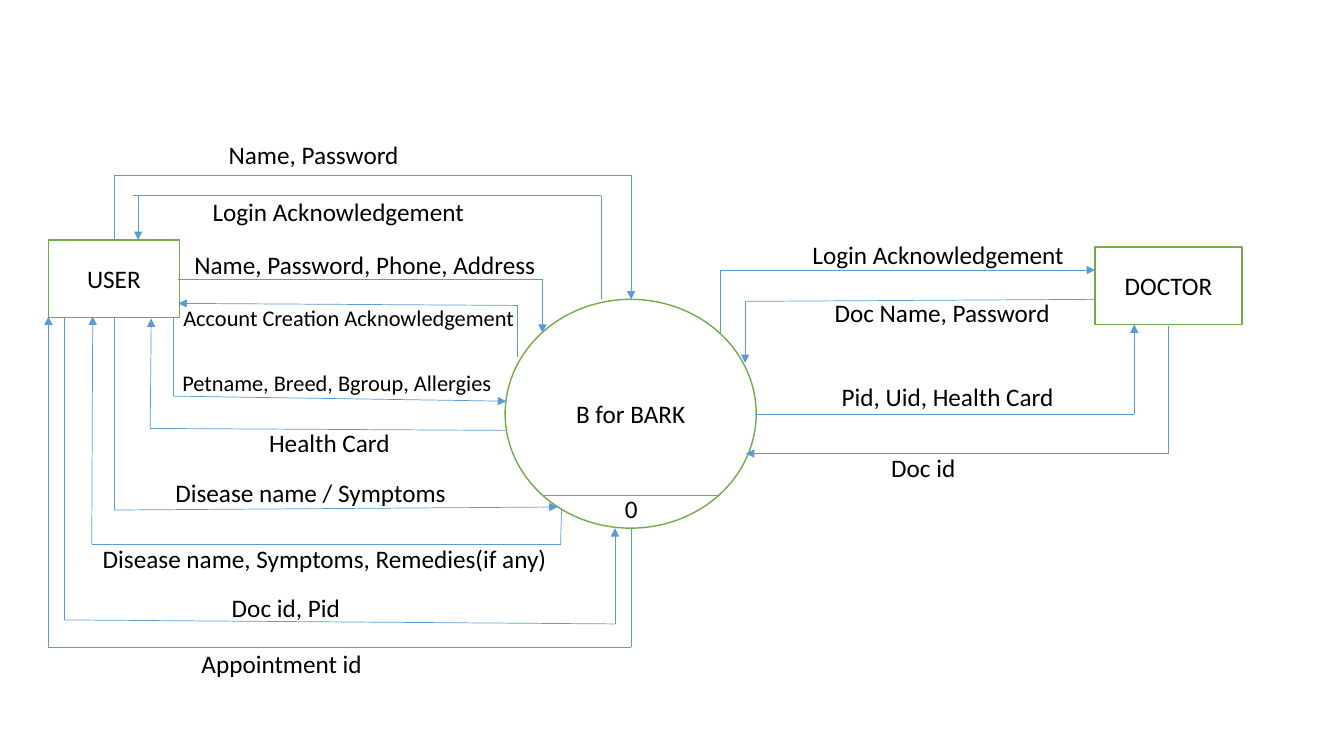
from typing import NamedTuple

from pptx import Presentation
from pptx.dml.color import RGBColor
from pptx.enum.shapes import MSO_CONNECTOR, MSO_SHAPE
from pptx.enum.text import MSO_ANCHOR, MSO_AUTO_SIZE, PP_ALIGN
from pptx.oxml.ns import qn
from pptx.util import Inches, Pt
from lxml import etree

OVAL, RECTANGLE = MSO_SHAPE.OVAL, MSO_SHAPE.RECTANGLE
STRAIGHT, ELBOW = MSO_CONNECTOR.STRAIGHT, MSO_CONNECTOR.ELBOW
MIDDLE, CENTER, LEFT = MSO_ANCHOR.MIDDLE, PP_ALIGN.CENTER, PP_ALIGN.LEFT
FIT_SHAPE = MSO_AUTO_SIZE.SHAPE_TO_FIT_TEXT

WHITE = RGBColor(0xFF, 0xFF, 0xFF)
BLACK = RGBColor(0x00, 0x00, 0x00)
GREEN = RGBColor(0x70, 0xAD, 0x47)
BLUE = RGBColor(0x5B, 0x9B, 0xD5)

COLUMNS, ROWS = 1333, 750
SLIDE_WIDTH, SLIDE_HEIGHT = Inches(13.33), Inches(7.5)
COLUMN, ROW = SLIDE_WIDTH / COLUMNS, SLIDE_HEIGHT / ROWS
LABEL_ROWS = {18: 40, 16: 37}

LABEL_FRAME = {"word_wrap": False, "auto_size": FIT_SHAPE}
NODE_FRAME = {"word_wrap": True, "vertical_anchor": MIDDLE}


class Point(NamedTuple):
    column: float
    row: float


class Node(NamedTuple):
    text: str
    preset: int
    column: int
    row: int
    columns: int
    rows: int


class Label(NamedTuple):
    text: str
    column: int
    row: int
    columns: int
    size: int = 18


class Flow(NamedTuple):
    points: list[tuple[int, int]]
    arrow: bool = True


class Elbow(NamedTuple):
    begin: Point
    end: Point
    turn: int
    preset: str
    bend: int | None = None


NODES = [
    Node("B for BARK", OVAL, 501, 297, 249, 227),
    Node("USER", RECTANGLE, 48, 238, 130, 77),
    Node("DOCTOR", RECTANGLE, 1086, 245, 146, 77),
]

FLOWS = [
    Flow([(538, 491), (714, 491)], arrow=False),
    Flow([(596, 297), (596, 194), (132, 194)], arrow=False),
    Flow([(137, 194), (137, 238)]),
    Flow([(177, 277), (538, 277), (538, 330)]),
    Flow([(513, 354), (513, 303), (177, 301)]),
    Flow([(172, 315), (172, 393), (502, 398)]),
    Flow([(502, 427), (149, 425), (150, 316)]),
    Flow([(113, 315), (113, 506), (553, 503)]),
    Flow([(557, 504), (556, 540), (91, 540), (92, 314)]),
    Flow([(64, 315), (64, 615), (610, 619), (610, 524)]),
    Flow([(626, 524), (626, 642), (48, 642), (48, 314)]),
    Flow([(1086, 297), (739, 299), (739, 360)]),
    Flow([(751, 411), (1125, 411), (1125, 322)]),
]

ELBOWS = [
    Elbow(Point(113, 238), Point(626, 297), 270, "bentConnector3", -108900),
    Elbow(Point(714, 330), Point(1086, 268), 90, "bentConnector2"),
    Elbow(Point(1159, 323), Point(740, 450), 90, "bentConnector2"),
]

LABELS = [
    Label("0", 610, 484, 33),
    Label("Name, Password", 217, 133, 190),
    Label("Login Acknowledgement", 201, 190, 273),
    Label("Name, Password, Phone, Address", 183, 242, 362),
    Label("Account Creation Acknowledgement", 172, 297, 352, 16),
    Label("Petname, Breed, Bgroup, Allergies", 171, 361, 331, 16),
    Label("Health Card", 257, 419, 141),
    Label("Disease name / Symptoms", 164, 469, 291),
    Label("Disease name, Symptoms, Remedies(if any)", 92, 534, 465),
    Label("Doc id, Pid", 220, 583, 129),
    Label("Appointment id", 190, 638, 181),
    Label("Login Acknowledgement", 796, 233, 273),
    Label("Doc Name, Password", 818, 290, 236),
    Label("Pid, Uid, Health Card", 825, 373, 233),
    Label("Doc id", 874, 444, 85),
]


def place(column: float, row: float) -> tuple[int, int]:
    return round(column * COLUMN), round(row * ROW)


def write(shape, text: str, size: int, alignment, frame_format: dict) -> None:
    for name, value in frame_format.items():
        setattr(shape.text_frame, name, value)
    paragraph = shape.text_frame.paragraphs[0]
    paragraph.alignment = alignment
    run = paragraph.add_run()
    run.text = text
    for name, value in {"name": "Calibri", "size": Pt(size)}.items():
        setattr(run.font, name, value)
    run.font.color.rgb = BLACK


def draw_node(slide, node: Node) -> None:
    shape = slide.shapes.add_shape(
        node.preset, *place(node.column, node.row), *place(node.columns, node.rows)
    )
    shape.shadow.inherit = False
    shape.fill.solid()
    shape.fill.fore_color.rgb = WHITE
    shape.line.color.rgb = GREEN
    shape.line.width = Pt(1)
    write(shape, node.text, 18, CENTER, NODE_FRAME)


def draw_label(slide, label: Label) -> None:
    size = place(label.columns, LABEL_ROWS[label.size])
    shape = slide.shapes.add_textbox(*place(label.column, label.row), *size)
    write(shape, label.text, label.size, LEFT, LABEL_FRAME)


def draw_line(slide, kind, begin, end, arrow: bool):
    connector = slide.shapes.add_connector(kind, *place(*begin), *place(*end))
    connector.line.color.rgb = BLUE
    connector.line.width = Pt(0.5)
    properties = connector._element.spPr
    if arrow:
        etree.SubElement(properties.find(qn("a:ln")), qn("a:tailEnd"), type="triangle")
    etree.SubElement(properties, qn("a:effectLst"))
    return connector


def draw_flow(slide, flow: Flow) -> None:
    last = len(flow.points) - 1
    for index, (begin, end) in enumerate(zip(flow.points, flow.points[1:]), 1):
        draw_line(slide, STRAIGHT, begin, end, flow.arrow and index == last)


def draw_elbow(slide, elbow: Elbow) -> None:
    begin, end = elbow.begin, elbow.end
    middle = Point((begin.column + end.column) / 2, (begin.row + end.row) / 2)
    sign = 1 if elbow.turn == 90 else -1
    across = sign * (begin.row - middle.row)
    down = sign * (middle.column - begin.column)
    connector = draw_line(
        slide,
        ELBOW,
        Point(middle.column + across, middle.row + down),
        Point(middle.column - across, middle.row - down),
        True,
    )
    properties = connector._element.spPr
    properties.find(qn("a:xfrm")).set("rot", str(elbow.turn * 60000))
    geometry = properties.find(qn("a:prstGeom"))
    geometry.set("prst", elbow.preset)
    if elbow.bend is not None:
        adjustments = geometry.find(qn("a:avLst"))
        etree.SubElement(adjustments, qn("a:gd"), name="adj1", fmla=f"val {elbow.bend}")


presentation = Presentation()
presentation.slide_width, presentation.slide_height = SLIDE_WIDTH, SLIDE_HEIGHT
slide = presentation.slides.add_slide(presentation.slide_layouts[6])
for draw, items in (
    (draw_node, NODES),
    (draw_flow, FLOWS),
    (draw_elbow, ELBOWS),
    (draw_label, LABELS),
):
    for item in items:
        draw(slide, item)
presentation.save("out.pptx")
